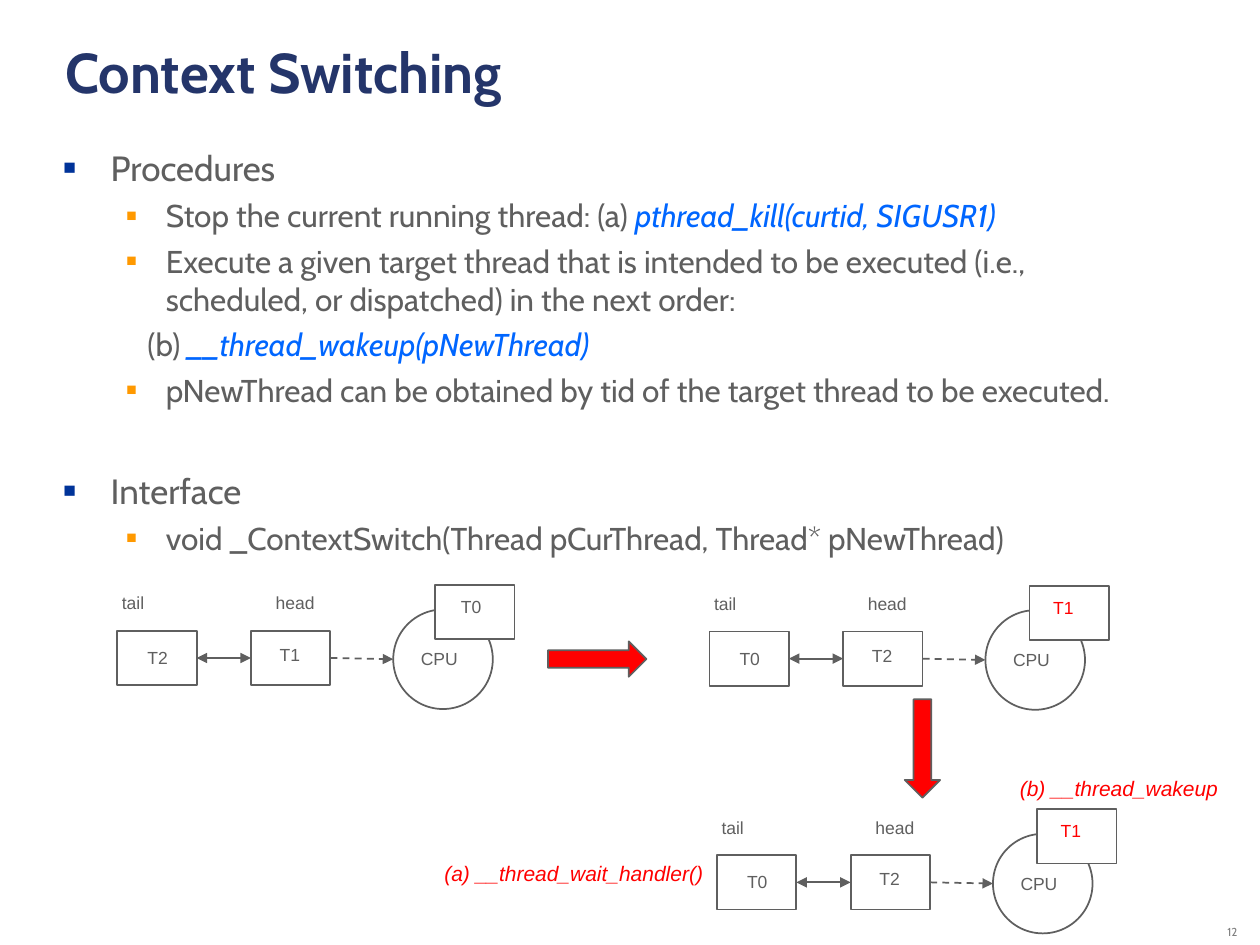
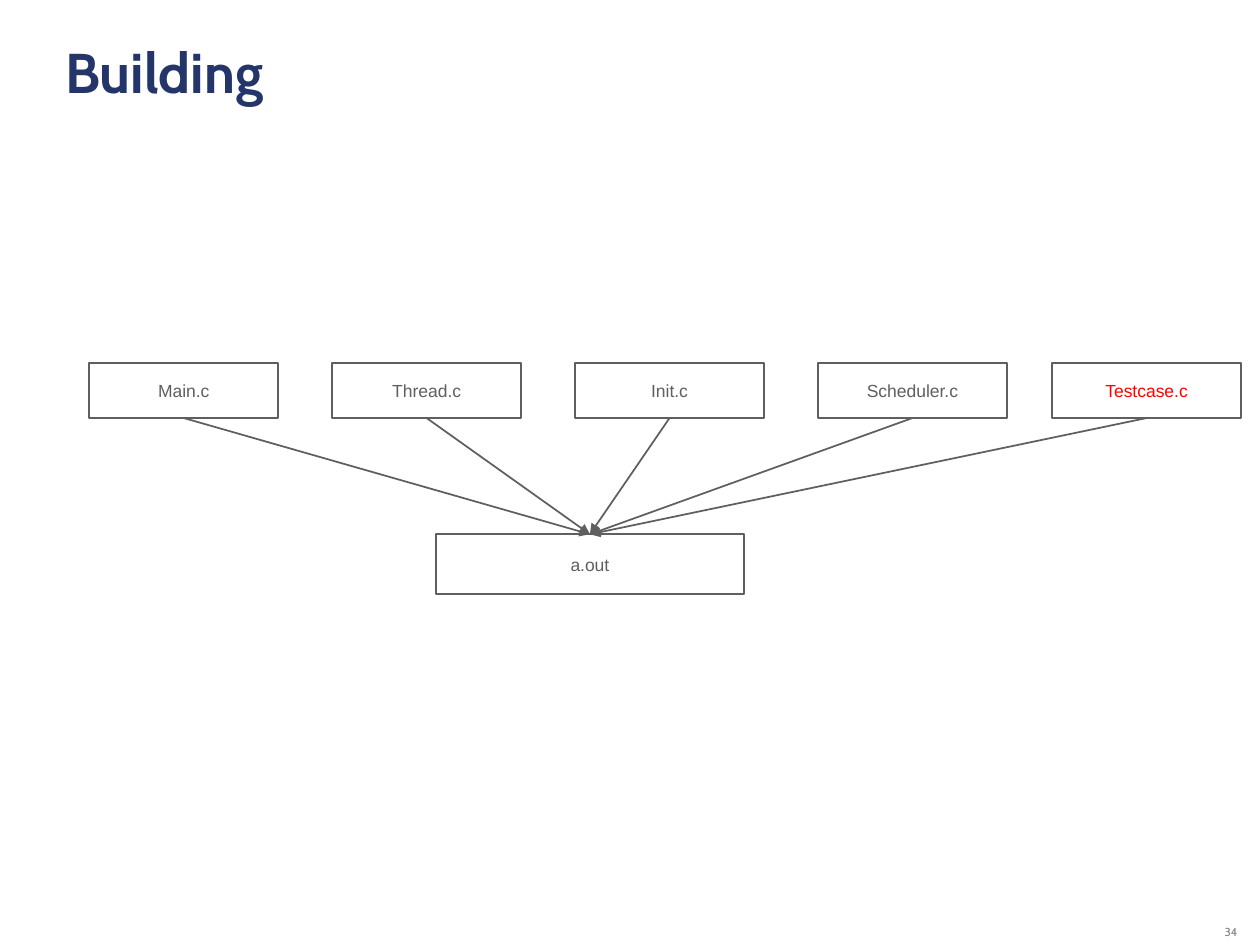
from lxml import etree
from pptx import Presentation
from pptx.dml.color import RGBColor
from pptx.enum.dml import MSO_LINE
from pptx.enum.shapes import MSO_CONNECTOR, MSO_SHAPE
from pptx.enum.text import MSO_ANCHOR, MSO_AUTO_SIZE, PP_ALIGN
from pptx.oxml.ns import qn
from pptx.util import Pt

RECT, OVAL, ARROW = MSO_SHAPE.RECTANGLE, MSO_SHAPE.OVAL, MSO_SHAPE.RIGHT_ARROW
STRAIGHT, DASH = MSO_CONNECTOR.STRAIGHT, MSO_LINE.DASH
LEFT, CENTER, RIGHT = PP_ALIGN.LEFT, PP_ALIGN.CENTER, PP_ALIGN.RIGHT
TOP, MIDDLE, BOTTOM = MSO_ANCHOR.TOP, MSO_ANCHOR.MIDDLE, MSO_ANCHOR.BOTTOM
GROW = MSO_AUTO_SIZE.SHAPE_TO_FIT_TEXT

NAVY = RGBColor(0x24, 0x35, 0x6A)
GRAY = RGBColor(0x5F, 0x5F, 0x5F)
PALE = RGBColor(0x80, 0x80, 0x80)
BLUE = RGBColor(0x00, 0x66, 0xFF)
RED = RGBColor(0xFF, 0x00, 0x00)
WHITE = RGBColor(0xFF, 0xFF, 0xFF)
DEEP = RGBColor(0x00, 0x33, 0x99)
AMBER = RGBColor(0xFF, 0x99, 0x00)
HEAD_FONT, BOX_FONT = "Cabin", "Arial"

BOX_W, BOX_H = 45.4, 31
POINTS = [
    (0, 5, [("Procedures", False)]),
    (1, 4.5, [("Stop the current running thread: (a) ", False),
              ("pthread_kill(curtid, SIGUSR1)", True)]),
    (1, 4.5, [("Execute a given target thread that is intended to be executed "
               "(i.e., scheduled, or dispatched) in the next order:", False)]),
    (2, 4.5, [("(b) ", False), ("__thread_wakeup(pNewThread)", True)]),
    (1, 4.5, [("pNewThread can be obtained by tid of the target thread "
               "to be executed.", False)]),
    (0, 34.3, [("Interface", False)]),
    (1, 4.5, [("void _ContextSwitch(Thread pCurThread, Thread* pNewThread)",
               False)]),
]
LEVELS = [
    dict(size=20, left=27, hang=-27, mark=DEEP, scale=60),
    dict(size=18, left=58.5, hang=-22.5, mark=AMBER, scale=55),
    dict(size=18, left=48, hang=0, mark=None, scale=None),
]


def write(para, text, size=10, font=BOX_FONT, color=GRAY, bold=False,
          italic=False, align=None):
    run = para.add_run()
    run.text = text
    run.font.size, run.font.name = Pt(size), font
    run.font.bold, run.font.italic = bold, italic
    run.font.color.rgb = color
    if align is not None:
        para.alignment = align


def frame(slide, left, top, width, height, wrap=True, anchor=TOP):
    box = slide.shapes.add_textbox(Pt(left), Pt(top), Pt(width), Pt(height))
    box.text_frame.word_wrap = wrap
    box.text_frame.vertical_anchor = anchor
    return box.text_frame


def label(slide, mid_x, mid_y, width, text, height=19.4, align=CENTER, **style):
    area = frame(slide, mid_x - width / 2, mid_y - height / 2, width, height,
                 wrap=False)
    area.auto_size = GROW
    write(area.paragraphs[0], text, align=align, **style)


def shape(slide, kind, left, top, width, height, fill=None):
    item = slide.shapes.add_shape(kind, Pt(left), Pt(top), Pt(width), Pt(height))
    item.shadow.inherit = False
    if fill is None:
        item.fill.background()
    else:
        item.fill.solid()
        item.fill.fore_color.rgb = fill
    item.line.color.rgb, item.line.width = GRAY, Pt(1)
    return item


def file_box(slide, left, top, width, height, text, color=GRAY):
    item = shape(slide, RECT, left, top, width, height, WHITE)
    item.text_frame.word_wrap = False
    item.text_frame.vertical_anchor = MIDDLE
    write(item.text_frame.paragraphs[0], text, color=color, align=CENTER)
    return item


def link(slide, start, side, goal=None, goal_side=None, end=(0, 0),
         both=False, dash=False):
    line = slide.shapes.add_connector(STRAIGHT, 0, 0, Pt(end[0]), Pt(end[1]))
    line.begin_connect(start, side)
    if goal is not None:
        line.end_connect(goal, goal_side)
    line.line.color.rgb, line.line.width = GRAY, Pt(1)
    if dash:
        line.line.dash_style = DASH
    props = line._element.spPr
    for tag in ["a:headEnd", "a:tailEnd"] if both else ["a:tailEnd"]:
        etree.SubElement(props.find(qn("a:ln")), qn(tag), type="triangle")
    etree.SubElement(props, qn("a:effectLst"))


def bullet(para, left, hang, mark, scale):
    props = para._p.get_or_add_pPr()
    props.set("marL", str(Pt(left)))
    props.set("indent", str(Pt(hang)))
    if mark is None:
        etree.SubElement(props, qn("a:buNone"))
        return
    tint = etree.SubElement(props, qn("a:buClr"))
    etree.SubElement(tint, qn("a:srgbClr"), val=str(mark))
    etree.SubElement(props, qn("a:buSzPct"), val=str(scale * 1000))
    etree.SubElement(props, qn("a:buFont"), typeface=BOX_FONT)
    etree.SubElement(props, qn("a:buChar"), char="■")


def new_slide(deck, title, number):
    slide = deck.slides.add_slide(deck.slide_layouts[6])
    foot = frame(slide, 642.2, 522, 72, 18, anchor=BOTTOM).paragraphs[0]
    foot.line_spacing = 0.8
    write(foot, number, size=6.6, font=HEAD_FONT, color=PALE, align=RIGHT)
    head = frame(slide, 30.2, 18, 650, 87.8).paragraphs[0]
    write(head, title, size=32, font=HEAD_FONT, color=NAVY, bold=True)
    return slide


def outline(slide):
    area = frame(slide, 29.2, 80.1, 642, 408)
    for index, (level, before, runs) in enumerate(POINTS):
        para = area.add_paragraph() if index else area.paragraphs[0]
        look = dict(LEVELS[level])
        size = look.pop("size")
        para.space_before = Pt(before)
        bullet(para, **look)
        for text, code in runs:
            write(para, text, size=size, font=HEAD_FONT, italic=code,
                  color=BLUE if code else GRAY)


def queue(slide, left, top, tail, head, active, color=GRAY, shift=183):
    last = shape(slide, RECT, left, top, BOX_W, BOX_H)
    first = shape(slide, RECT, left + 76.4, top, BOX_W, BOX_H)
    shape(slide, OVAL, left + 157.7, top - 12.2, 56.9, 56.9)
    link(slide, last, 3, first, 1, both=True)
    link(slide, first, 3, end=(left + 157.7, top + 16.2), dash=True)
    shape(slide, RECT, left + shift, top - 26.2, BOX_W, BOX_H, WHITE)
    for mid_x, mid_y, width, text, tint in [
        (9, -15.8, 28, "tail", GRAY),
        (101.6, -15.8, 37, "head", GRAY),
        (184, 16.2, 36, "CPU", GRAY),
        (23, 15.3, 27, tail, GRAY),
        (98.6, 13.6, 27, head, GRAY),
        (202.2, -13.7, 27, active, color),
    ]:
        label(slide, left + mid_x, top + mid_y, width, text, color=tint)


def switch_slide(deck):
    slide = new_slide(deck, "Context Switching", "12")
    outline(slide)
    queue(slide, 67, 360.5, "T2", "T1", "T0", shift=181.6)
    queue(slide, 405.4, 360.9, "T0", "T2", "T1", RED)
    queue(slide, 409.7, 488.7, "T0", "T2", "T1", RED)
    for mid_x, mid_y, width, text in [
        (639.7, 450.4, 128, "(b) __thread_wakeup"),
        (328, 499, 162.4, "(a) __thread_wait_handler()"),
    ]:
        label(slide, mid_x, mid_y, width, text, height=21.8, align=LEFT,
              size=12, color=RED, italic=True)
    shape(slide, ARROW, 313.2, 366.5, 56.2, 20.2, RED)
    down = shape(slide, ARROW, 499, 417.6, 56.2, 20.2, RED)
    down.rotation = 90


def build_slide(deck):
    slide = new_slide(deck, "Building", "34")
    goal = file_box(slide, 249, 305.3, 176.2, 34, "a.out")
    names = ["Main.c", "Thread.c", "Init.c", "Scheduler.c"]
    files = [(51 + 138.8 * index, name, GRAY) for index, name in enumerate(names)]
    files.append((601.2, "Testcase.c", RED))
    for left, name, color in files:
        item = file_box(slide, left, 207.6, 108, 31.3, name, color)
        link(slide, item, 2, goal, 0)


def main():
    deck = Presentation()
    deck.slide_width, deck.slide_height = Pt(720), Pt(540)
    switch_slide(deck)
    build_slide(deck)
    deck.save("out.pptx")


if __name__ == "__main__":
    main()
